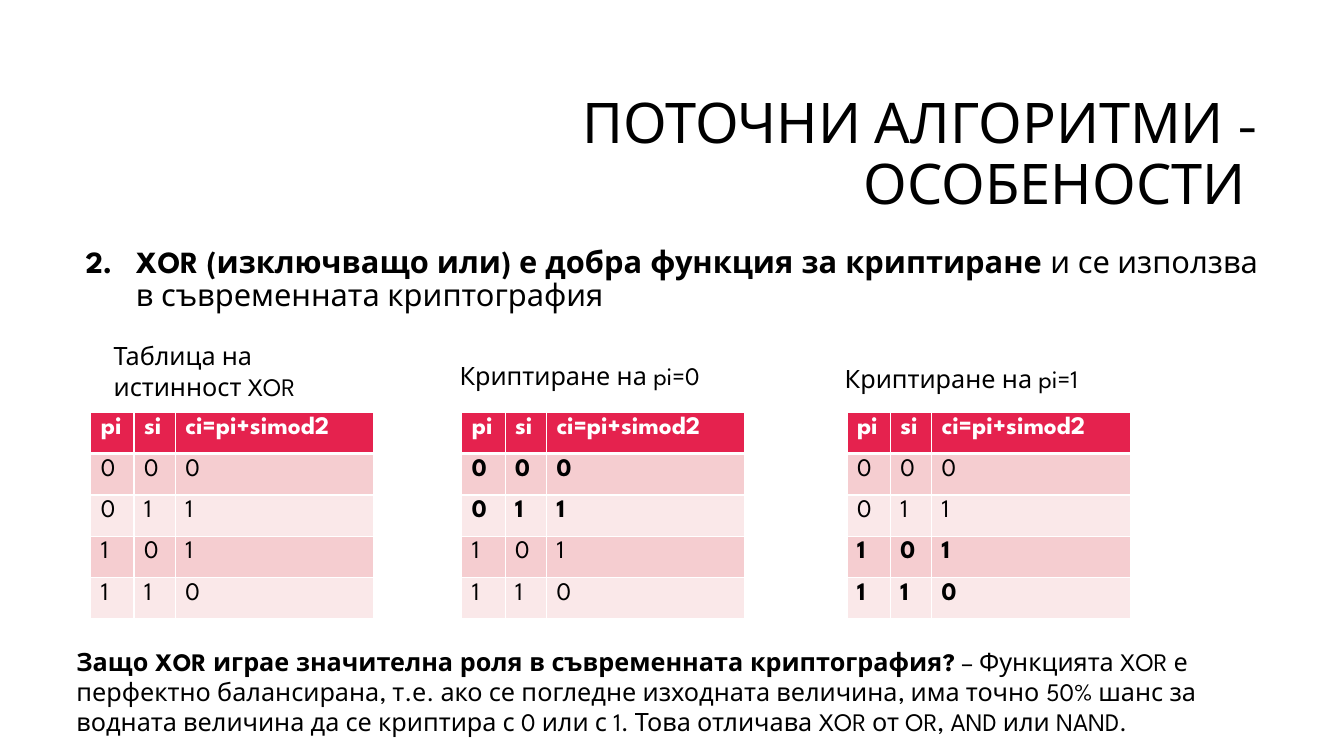
from dataclasses import dataclass

from lxml.etree import SubElement
from pptx import Presentation
from pptx.dml.color import RGBColor
from pptx.enum.text import MSO_ANCHOR, MSO_AUTO_SIZE, PP_ALIGN
from pptx.oxml.ns import qn
from pptx.util import Emu, Pt

EMU_PER_PX = 9144  # 100 px to the inch


@dataclass(frozen=True)
class Theme:
    font: str = "League Spartan"
    title_size: int = 40
    point_size: int = 22
    text_size: int = 18
    black: str = "000000"
    white: str = "FFFFFF"
    header: str = "E5224E"
    bands: tuple = ("F5CDD0", "FAE8E9")


def px(length):
    return Emu(length * EMU_PER_PX)


class SlideBuilder:
    def __init__(self, slide, theme):
        self.slide = slide
        self.theme = theme

    def add_run(self, paragraph, text, size, bold=False, color=None):
        run = paragraph.add_run()
        run.text = text
        run.font.name = self.theme.font
        run.font.size = Pt(size)
        run.font.bold = bold
        run.font.color.rgb = RGBColor.from_string(color or self.theme.black)

    def title(self, text, left, top, width, height):
        shape = self.slide.shapes.title
        shape.left, shape.top, shape.width, shape.height = map(px, (left, top, width, height))
        frame = shape.text_frame
        frame.auto_size = MSO_AUTO_SIZE.NONE
        frame.vertical_anchor = MSO_ANCHOR.MIDDLE
        paragraph = frame.paragraphs[0]
        paragraph.alignment = PP_ALIGN.RIGHT
        paragraph.line_spacing = 0.9
        self.add_run(paragraph, text, self.theme.title_size)

    def text(self, runs, left, top, width, height, size=None):
        """Add a wrapped text box from (text, bold) pairs and return its paragraph."""
        frame = self.slide.shapes.add_textbox(*map(px, (left, top, width, height))).text_frame
        frame.word_wrap = True
        paragraph = frame.paragraphs[0]
        for text, bold in runs:
            self.add_run(paragraph, text, size or self.theme.text_size, bold)
        return paragraph

    def numbered_point(self, number, runs, left, top, width, height):
        paragraph = self.text(runs, left, top, width, height, self.theme.point_size)
        paragraph.line_spacing = 0.9
        properties = paragraph._p.get_or_add_pPr()
        properties.set("marL", str(px(50)))
        properties.set("indent", str(px(-50)))
        bullet_font = SubElement(properties, qn("a:buFont"))
        bullet_font.set("typeface", self.theme.font)
        numbering = SubElement(properties, qn("a:buAutoNum"))
        numbering.set("type", "arabicPeriod")
        numbering.set("startAt", str(number))

    def cell_borders(self, cell, bottom_width):
        properties = cell._tc.get_or_add_tcPr()
        for side, width in (("L", 1), ("R", 1), ("T", 1), ("B", bottom_width)):
            line = SubElement(properties, qn(f"a:ln{side}"))
            line.set("w", str(Pt(width)))
            fill = SubElement(line, qn("a:solidFill"))
            SubElement(fill, qn("a:srgbClr")).set("val", self.theme.white)

    def truth_table(self, rows, bold_rows, left, top, column_widths, row_height):
        """Add a table whose first row is the header; bold_rows are row indexes."""
        table = self.slide.shapes.add_table(
            len(rows), len(column_widths), px(left), px(top),
            px(sum(column_widths)), px(row_height * len(rows)),
        ).table
        for column, width in zip(table.columns, column_widths):
            column.width = px(width)
        for row_index, values in enumerate(rows):
            is_header = row_index == 0
            fill = self.theme.header if is_header else self.theme.bands[(row_index - 1) % 2]
            color = self.theme.white if is_header else self.theme.black
            table.rows[row_index].height = px(row_height)
            for column_index, value in enumerate(values):
                cell = table.cell(row_index, column_index)
                self.cell_borders(cell, 3 if is_header else 1)
                cell.fill.solid()
                cell.fill.fore_color.rgb = RGBColor.from_string(fill)
                self.add_run(cell.text_frame.paragraphs[0], value, self.theme.text_size,
                             is_header or row_index in bold_rows, color)


def main():
    presentation = Presentation()
    presentation.slide_width, presentation.slide_height = px(1333), px(750)
    slide = presentation.slides.add_slide(presentation.slide_layouts[5])
    builder = SlideBuilder(slide, Theme())

    builder.title("ПОТОЧНИ АЛГОРИТМИ - ОСОБЕНОСТИ ", 317, 84, 942, 141)
    builder.numbered_point(2, [
        ("XOR (изключващо или) е добра функция за криптиране ", True),
        ("и се използва в съвременната криптография", False),
    ], 75, 240, 1183, 113)

    xor_rows = [("pi", "si", "ci=pi+simod2")]
    xor_rows += [(str(p), str(s), str(p ^ s)) for p in (0, 1) for s in (0, 1)]
    for left, bold_rows in ((90, ()), (458, (1, 2)), (840, (3, 4))):
        builder.truth_table(xor_rows, bold_rows, left, 409, (43, 41, 197), 41)

    for caption, left, top, width, height in (
        ("Таблица на истинност XOR", 103, 333, 267, 71),
        ("Криптиране на pi=0", 446, 353, 303, 41),
        ("Криптиране на pi=1", 828, 356, 303, 41),
    ):
        builder.text([(caption, False)], left, top, width, height)

    builder.text([
        ("Защо XOR играе значителна роля в съвременната криптография? ", True),
        ("– Функцията XOR е перфектно балансирана, т.е. ако се погледне изходната "
         "величина, има точно 50% шанс за водната величина да се криптира с 0 или с 1. "
         "Това отличава XOR от OR, AND или NAND.", False),
    ], 66, 636, 1216, 101)

    presentation.save("out.pptx")


if __name__ == "__main__":
    main()
